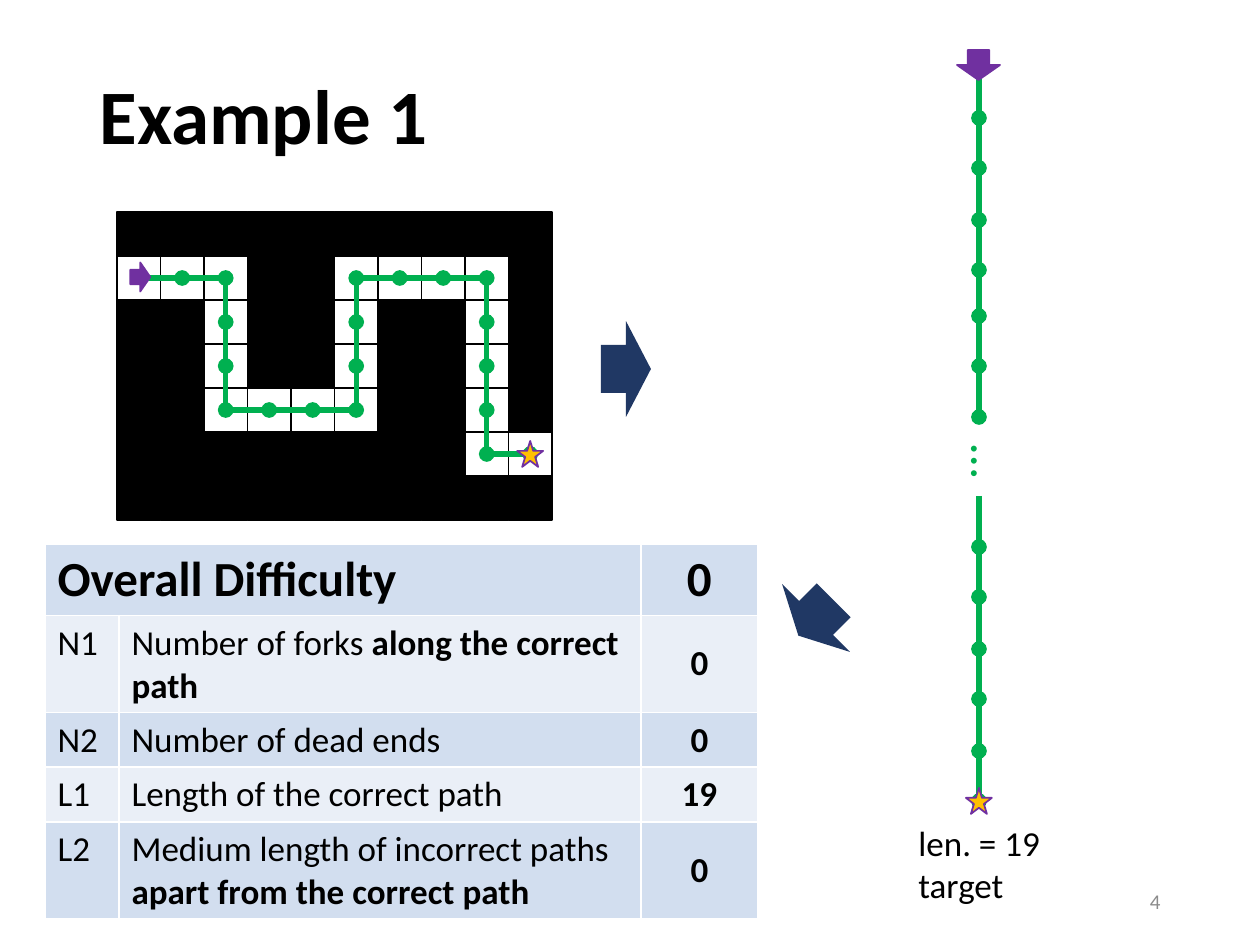
from itertools import pairwise

from lxml.etree import SubElement
from pptx import Presentation
from pptx.dml.color import RGBColor
from pptx.enum.shapes import MSO_CONNECTOR, MSO_SHAPE
from pptx.enum.text import MSO_ANCHOR, PP_ALIGN
from pptx.oxml.ns import qn
from pptx.util import Emu, Pt

PX_PER_INCH = 126
FONT = "Calibri"
BLACK, WHITE = "000000", "FFFFFF"
GREEN, PURPLE, GOLD, NAVY = "00B050", "7030A0", "FFC000", "203864"
BAND_DARK, BAND_LIGHT, GREY = "D2DEEF", "EAEFF7", "8C8C8C"

# "#" is wall, "." is corridor
MAZE = ["##########",
        "...##....#",
        "##.##.##.#",
        "##.##.##.#",
        "##....##.#",
        "########..",
        "##########"]
# (column, row) of the start, each turn and the target
TURNS = [(0, 1), (2, 1), (2, 4), (5, 4), (5, 1), (8, 1), (8, 5), (9, 5)]

METRICS = [
    ("N1", [("Number of forks ", False), ("along the correct path", True)], "0"),
    ("N2", [("Number of dead ends", False)], "0"),
    ("L1", [("Length of the correct path", False)], "19"),
    ("L2", [("Medium length of incorrect paths ", False),
            ("apart from the correct path", True)], "0"),
]


def px(length):
    return Emu(round(length * 914400 / PX_PER_INCH))


def color(hex_code):
    return RGBColor.from_string(hex_code)


def style_runs(paragraph, size, hex_code=BLACK, bold=None):
    for run in paragraph.runs:
        run.font.name = FONT
        run.font.size = Pt(size)
        run.font.color.rgb = color(hex_code)
        if bold is not None:
            run.font.bold = bold


def add_preset(shapes, preset, box, fill, outline=None, rotation=0):
    shape = shapes.add_shape(preset, *map(px, box))
    shape.shadow.inherit = False
    shape.rotation = rotation
    shape.fill.solid()
    shape.fill.fore_color.rgb = color(fill)
    if outline:
        shape.line.color.rgb = color(outline)
        shape.line.width = Pt(1)
    else:
        shape.line.fill.background()


def add_step(shapes, start, end):
    """Draw one green path step that ends in a round node."""
    step = shapes.add_connector(MSO_CONNECTOR.STRAIGHT, *map(px, (*start, *end)))
    step.line.color.rgb = color(GREEN)
    step.line.width = Pt(3)
    SubElement(step.line._get_or_add_ln(), qn("a:tailEnd"), type="oval")
    SubElement(step._element.spPr, qn("a:effectLst"))


def add_star(shapes, center_x, center_y):
    add_preset(shapes, MSO_SHAPE.STAR_5_POINT,
               (center_x - 13, center_y - 13, 26, 26), GOLD, PURPLE)


def add_label(shapes, box, text, size, hex_code=BLACK, wrap=False, rotation=0):
    label = shapes.add_textbox(*map(px, box))
    label.rotation = rotation
    frame = label.text_frame
    frame.text = text
    frame.word_wrap = wrap
    for paragraph in frame.paragraphs:
        style_runs(paragraph, size, hex_code)
    return frame


def add_title(slide, box):
    title = slide.shapes.title
    title.left, title.top, title.width, title.height = map(px, box)
    title.text_frame.text = "Example 1"
    title.text_frame.vertical_anchor = MSO_ANCHOR.MIDDLE
    heading = title.text_frame.paragraphs[0]
    heading.alignment = PP_ALIGN.LEFT
    heading.line_spacing = 0.9
    style_runs(heading, 44, bold=True)


def route_cells():
    """List every cell on the correct path, in walking order."""
    cells = [TURNS[0]]
    for (col, row), (next_col, next_row) in pairwise(TURNS):
        count = max(abs(next_col - col), abs(next_row - row))
        cells += [(col + (next_col - col) * i // count,
                   row + (next_row - row) * i // count)
                  for i in range(1, count + 1)]
    return cells


def add_maze(slide, box):
    left, top, width, height = box
    cell_w, cell_h = width / len(MAZE[0]), height / len(MAZE)
    grid = slide.shapes.add_group_shape()
    for row, line in enumerate(MAZE):
        for col, kind in enumerate(line):
            add_preset(grid.shapes, MSO_SHAPE.RECTANGLE,
                       (left + col * cell_w, top + row * cell_h, cell_w, cell_h),
                       BLACK if kind == "#" else WHITE, BLACK)

    nodes = [(left + (col + 0.5) * cell_w, top + (row + 0.5) * cell_h)
             for col, row in route_cells()]
    for start, end in pairwise(nodes):
        add_step(slide.shapes, start, end)
    entry_x, entry_y = nodes[0]
    add_preset(slide.shapes, MSO_SHAPE.DOWN_ARROW,
               (entry_x - 13, entry_y - 11, 29, 20), PURPLE, PURPLE, 270)
    add_star(slide.shapes, *nodes[-1])


def add_chain(slide, box):
    """Show the correct path unrolled into one vertical chain."""
    left, top, width, height = box
    shapes = slide.shapes
    middle = left + width // 2
    before_gap = [17, 68, 118, 170, 220, 266, 316, 367]
    after_gap = [446, 497, 547, 599, 649, 701, 751]
    for nodes in (before_gap, after_gap):
        for start, end in pairwise(nodes):
            add_step(shapes, (middle, top + start), (middle, top + end))
    add_preset(shapes, MSO_SHAPE.DOWN_ARROW,
               (middle - 22, top, 43, 30), PURPLE, PURPLE)
    add_label(shapes, (middle - 18, top + 376, 59, 72), "…", 28, GREEN, rotation=90)
    add_star(shapes, middle, top + after_gap[-1])
    add_label(shapes, (left, top + height - 97, width, 97), "len. = 19\ntarget", 20)


def fill_cell(cell, parts, size, fill, centered=False):
    paragraph = cell.text_frame.paragraphs[0]
    for text, bold in parts:
        run = paragraph.add_run()
        run.text = text
        run.font.bold = bold
    style_runs(paragraph, size)
    if centered:
        paragraph.alignment = PP_ALIGN.CENTER
        cell.vertical_anchor = MSO_ANCHOR.MIDDLE
    properties = cell._tc.get_or_add_tcPr()
    for side in ("lnL", "lnR", "lnT", "lnB"):
        border = SubElement(properties, qn(f"a:{side}"), w=str(Pt(1)))
        SubElement(SubElement(border, qn("a:solidFill")), qn("a:srgbClr"), val=WHITE)
    cell.fill.solid()
    cell.fill.fore_color.rgb = color(fill)


def add_difficulty_table(slide, box):
    row_heights = [71, 97, 54, 55, 97]
    table = slide.shapes.add_table(len(row_heights), 3, *map(px, box)).table
    for column, width in zip(table.columns, (74, 522, 117)):
        column.width = px(width)
    for row, height in zip(table.rows, row_heights):
        row.height = px(height)

    table.cell(0, 0).merge(table.cell(0, 1))
    fill_cell(table.cell(0, 0), [("Overall Difficulty", True)], 28, BAND_DARK)
    fill_cell(table.cell(0, 2), [("0", True)], 28, BAND_DARK, centered=True)
    for row, (code, description, value) in enumerate(METRICS, start=1):
        band = BAND_LIGHT if row % 2 else BAND_DARK
        fill_cell(table.cell(row, 0), [(code, False)], 20, band)
        fill_cell(table.cell(row, 1), description, 20, band)
        fill_cell(table.cell(row, 2), [(value, True)], 20, band, centered=True)


def add_slide_number(slide, box):
    frame = add_label(slide.shapes, box, "4", 12, GREY, wrap=True)
    frame.vertical_anchor = MSO_ANCHOR.MIDDLE
    frame.paragraphs[0].alignment = PP_ALIGN.RIGHT


def main():
    deck = Presentation()
    deck.slide_width, deck.slide_height = px(1260), px(945)
    slide = deck.slides.add_slide(deck.slide_layouts[5])
    add_title(slide, (87, 50, 1086, 140))
    add_maze(slide, (117, 212, 435, 308))
    add_chain(slide, (906, 50, 147, 862))
    add_preset(slide.shapes, MSO_SHAPE.RIGHT_ARROW, (601, 321, 50, 96), NAVY)
    add_preset(slide.shapes, MSO_SHAPE.RIGHT_ARROW, (791, 570, 50, 96), NAVY,
               rotation=135)
    add_difficulty_table(slide, (45, 544, 713, 374))
    add_slide_number(slide, (890, 876, 283, 50))
    deck.save("out.pptx")


if __name__ == "__main__":
    main()
